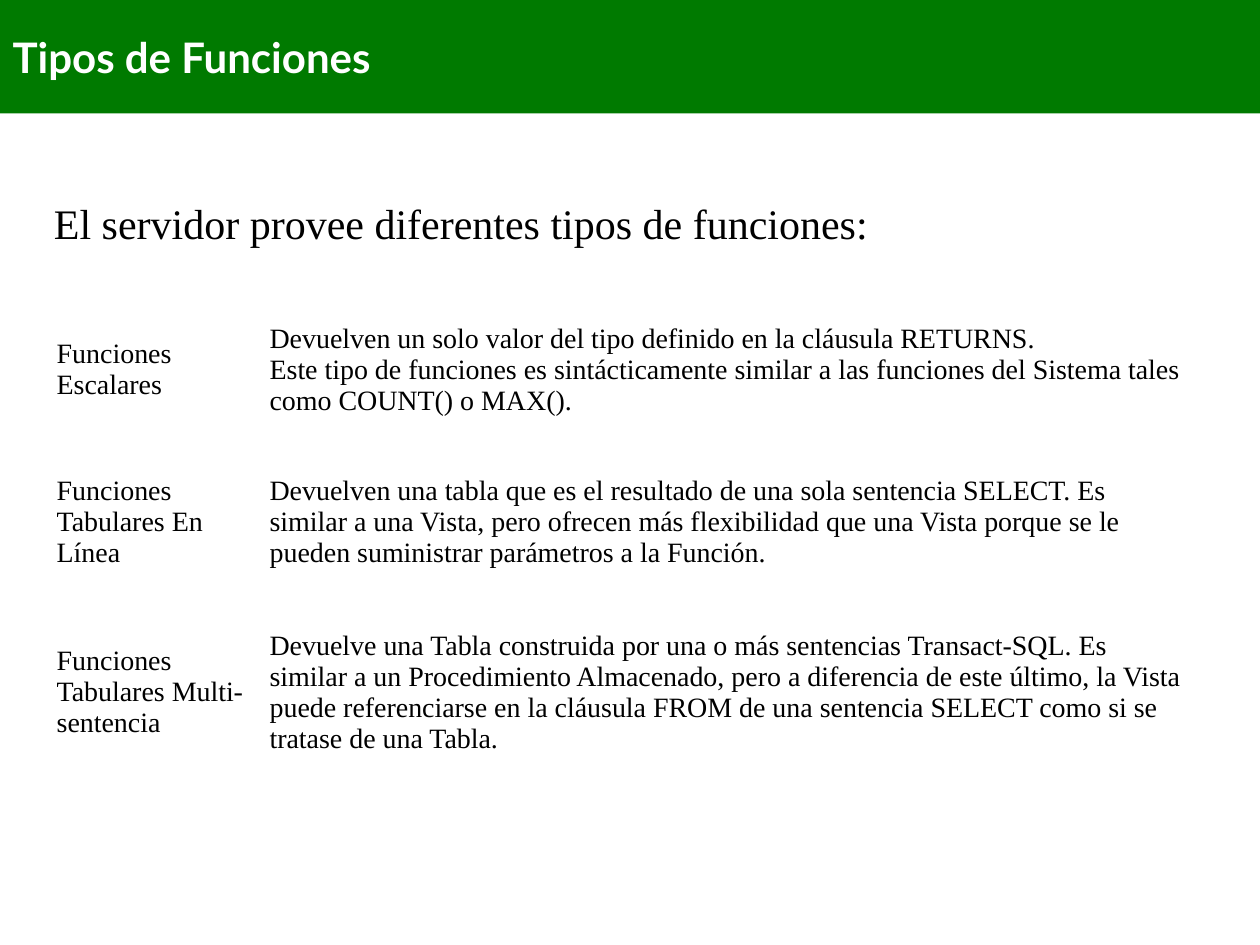
from pptx import Presentation
from pptx.dml.color import RGBColor
from pptx.enum.text import MSO_ANCHOR, MSO_AUTO_SIZE, PP_ALIGN
from pptx.oxml import parse_xml
from pptx.oxml.ns import nsdecls
from pptx.util import Inches, Pt

# Content
TITLE = "Tipos de Funciones"
INTRO = "El servidor provee diferentes tipos de funciones:"
FUNCTION_TYPES = [
    ("Funciones Escalares",
     "Devuelven un solo valor del tipo definido en la cláusula RETURNS.\n"
     "Este tipo de funciones es sintácticamente similar a las funciones "
     "del Sistema tales como COUNT() o MAX()."),
    ("Funciones Tabulares En Línea",
     "Devuelven una tabla que es el resultado de una sola sentencia SELECT. "
     "Es similar a una Vista, pero ofrecen más flexibilidad que una Vista "
     "porque se le pueden suministrar parámetros a la Función."),
    ("Funciones Tabulares Multi-sentencia",
     "Devuelve una Tabla construida por una o más sentencias Transact-SQL. "
     "Es similar a un Procedimiento Almacenado, pero a diferencia de este "
     "último, la Vista puede referenciarse en la cláusula FROM de una "
     "sentencia SELECT como si se tratase de una Tabla."),
]
COL_WIDTHS = [1.69, 7.48]
ROW_HEIGHTS = [1.21, 1.21, 1.49]

THEME = {
    "green": "007A00", "white": "FFFFFF", "black": "000000",
    "title_font": "Lato", "body_font": "Times New Roman",
    "head_size": 24, "cell_size": 16, "border": 0.75,
}


def format_text(tf, font, size, color, bold=False):
    for p in tf.paragraphs:
        p.alignment = PP_ALIGN.LEFT
        for r in p.runs:
            r.font.name = font
            r.font.size = Pt(size)
            r.font.bold = bold
            r.font.color.rgb = RGBColor.from_string(THEME[color])


def add_borders(cell):
    tcPr = cell._tc.get_or_add_tcPr()
    for i, side in enumerate(("lnL", "lnR", "lnT", "lnB")):
        tcPr.insert(i, parse_xml(
            f'<a:{side} {nsdecls("a")} w="{Pt(THEME["border"])}"><a:solidFill>'
            f'<a:srgbClr val="{THEME["white"]}"/></a:solidFill></a:{side}>'))


prs = Presentation()
prs.slide_width, prs.slide_height = Inches(10), Inches(7.5)
s = prs.slides.add_slide(prs.slide_layouts[5])

# Title band
title = s.shapes.title
title.left, title.top = Inches(0), Inches(0)
title.width, title.height = prs.slide_width, Inches(0.9)
title.fill.solid()
title.fill.fore_color.rgb = RGBColor.from_string(THEME["green"])
tf = title.text_frame
tf.text = TITLE
tf.vertical_anchor = MSO_ANCHOR.MIDDLE
format_text(tf, THEME["title_font"], THEME["head_size"], "white", bold=True)

# Table of function types
table = s.shapes.add_table(
    len(ROW_HEIGHTS), len(COL_WIDTHS), Inches(0.35), Inches(2.33),
    Inches(sum(COL_WIDTHS)), Inches(sum(ROW_HEIGHTS))).table
table.first_row = table.horz_banding = False
for col, width in zip(table.columns, COL_WIDTHS):
    col.width = Inches(width)
for row, height, texts in zip(table.rows, ROW_HEIGHTS, FUNCTION_TYPES):
    row.height = Inches(height)
    for cell, text in zip(row.cells, texts):
        cell.text_frame.text = text
        cell.vertical_anchor = MSO_ANCHOR.MIDDLE
        cell.fill.background()
        add_borders(cell)
        format_text(cell.text_frame, THEME["body_font"], THEME["cell_size"], "black")

# Introductory line
intro = s.shapes.add_textbox(Inches(0.33), Inches(1.52), Inches(6.91), Inches(0.91))
tf = intro.text_frame
tf.text = INTRO
tf.word_wrap = True
tf.auto_size = MSO_AUTO_SIZE.NONE
tf.vertical_anchor = MSO_ANCHOR.TOP
format_text(tf, THEME["body_font"], THEME["head_size"], "black")

prs.save("out.pptx")
